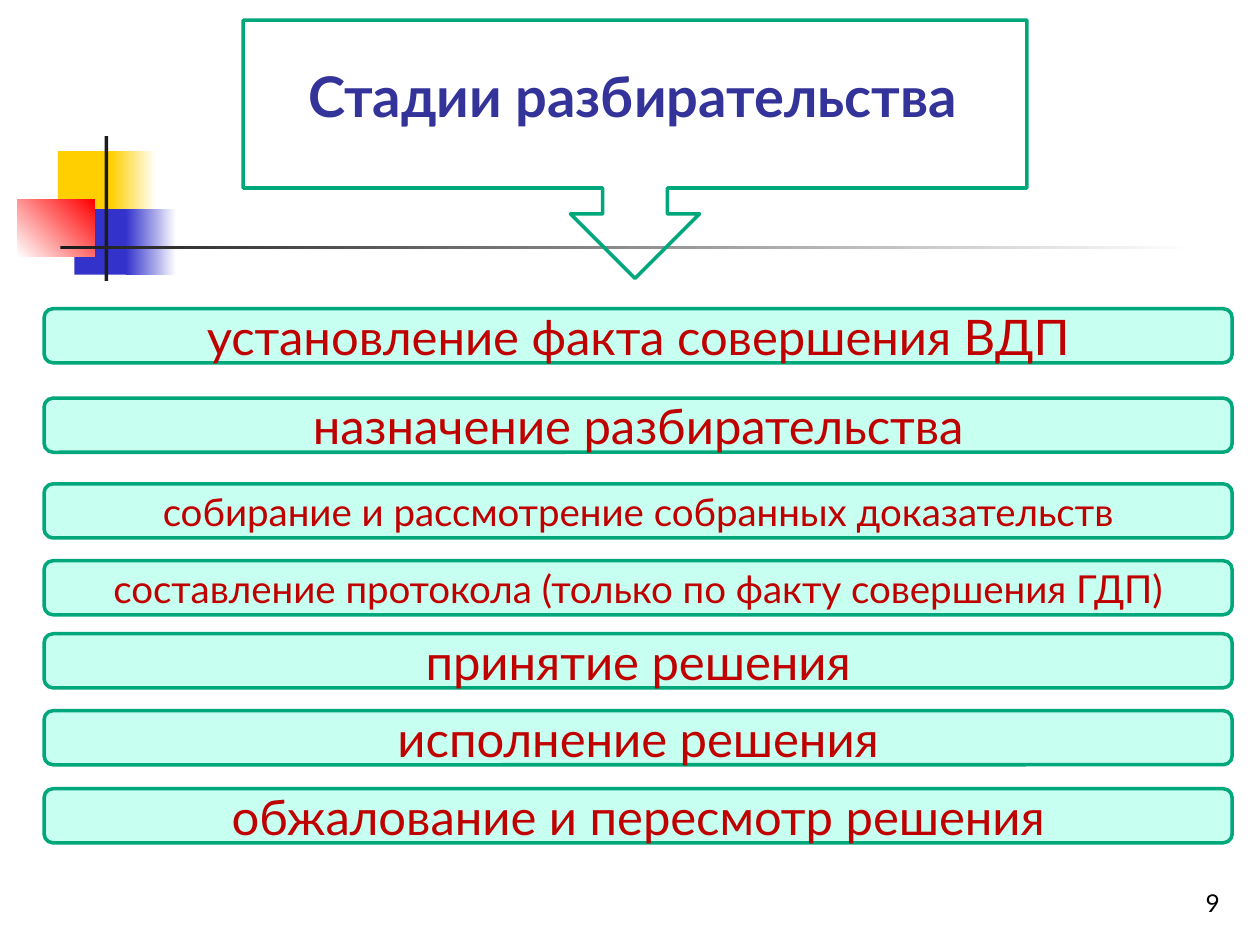
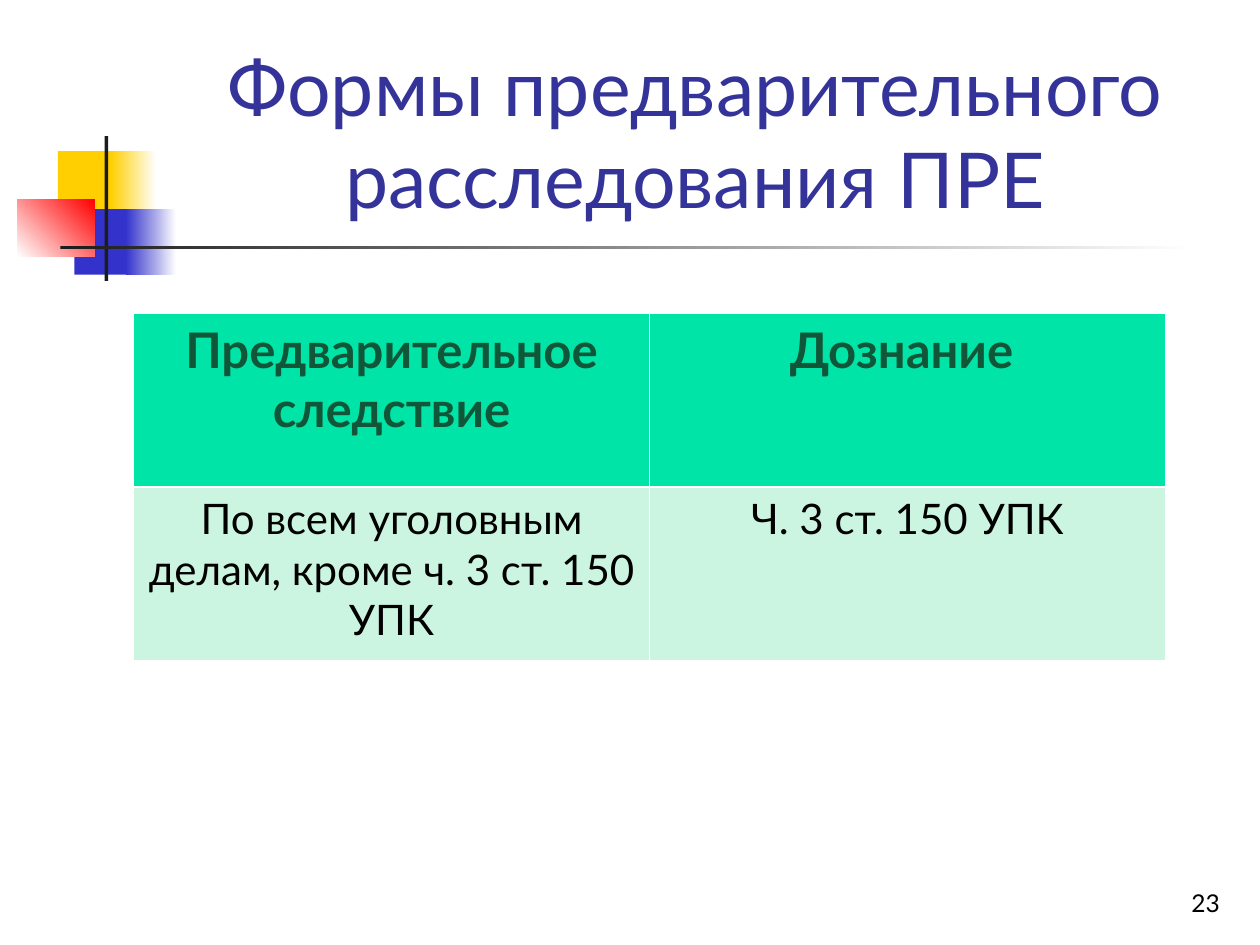
"""Build two slides on the stages of proceedings and the forms of preliminary investigation."""
from lxml import etree
from pptx import Presentation
from pptx.dml.color import RGBColor
from pptx.enum.shapes import MSO_SHAPE as SHAPE
from pptx.enum.text import MSO_ANCHOR as ANCHOR, MSO_AUTO_SIZE as AUTO, PP_ALIGN as ALIGN
from pptx.oxml.ns import qn
from pptx.util import Inches, Pt

FONT = "Lato"
COLORS = {
    "white": "FFFFFF", "black": "000000", "ink": "1C1C1C",
    "yellow": "FFCF01", "blue": "3333CC", "red": "FF0000",
    "title": "333399", "stage_text": "C00000", "stage_fill": "C7FFF0", "stage_line": "00A77A",
    "head_text": "105638", "head_fill": "00E4A8", "body_fill": "CBF5E1",
}

DECOR = [
    ((0.46, 1.2, 0.48, 0.52), ("yellow",), 0),
    ((0.88, 1.2, 0.36, 0.52), ("yellow", "white"), 0),
    ((0.59, 1.66, 0.46, 0.52), ("blue",), 0),
    ((1, 1.66, 0.4, 0.52), ("blue", "white"), 0),
    ((0.14, 1.58, 0.61, 0.46), ("white", "red"), 45),
    ((0.83, 1.08, 0.03, 1.15), ("ink",), 0),
    ((0.48, 1.95, 9, 0.03), ("ink", "white"), 0),
]

STAGES_TITLE = "Стадии разбирательства"
STAGES = [
    (2.45, "установление факта совершения ВДП", 28),
    (3.16, "назначение разбирательства", 28),
    (3.84, "собирание и рассмотрение собранных доказательств", 22),
    (4.45, "составление протокола (только по факту совершения ГДП)", 22),
    (5.03, "принятие решения", 28),
    (5.64, "исполнение решения", 28),
    (6.26, "обжалование и пересмотр решения", 28),
]

FORMS_TITLE = "Формы предварительного расследования ПРЕ"
FORMS = [
    ("Предварительное следствие", "Дознание "),
    ("По всем уголовным делам, кроме ч. 3 ст. 150 УПК", "Ч. 3 ст. 150 УПК"),
]
ROW_STYLES = [
    {"size": 28, "color": "head_text", "bold": True, "fill": "head_fill"},
    {"size": 24, "color": "black", "bold": False, "fill": "body_fill"},
]


def rgb(name):
    return RGBColor.from_string(COLORS[name])


def box(values):
    return [Inches(v) for v in values]


def write(tf, text, size, color, bold=False, align=ALIGN.CENTER):
    tf.text = text
    p = tf.paragraphs[0]
    p.alignment = align
    p.font.name = FONT
    p.font.size = Pt(size)
    p.font.bold = bold
    p.font.color.rgb = rgb(color)


def add_shape(s, kind, place):
    sp = s.shapes.add_shape(kind, *box(place))
    sp.shadow.inherit = False
    return sp


def outline(sp):
    sp.line.color.rgb = rgb("stage_line")
    sp.line.width = Pt(2)


def add_decor(s, place, colors, angle):
    sp = add_shape(s, SHAPE.RECTANGLE, place)
    sp.line.fill.background()
    if len(colors) == 1:
        sp.fill.solid()
        sp.fill.fore_color.rgb = rgb(colors[0])
        return
    sp.fill.gradient()
    sp.fill.gradient_angle = angle
    for stop, color in zip(sp.fill.gradient_stops, colors):
        stop.color.rgb = rgb(color)


def add_slide(prs, title, place, size, number, bold=False):
    s = prs.slides.add_slide(prs.slide_layouts[5])
    for part in DECOR:
        add_decor(s, *part)
    sp = s.shapes.title
    sp.left, sp.top, sp.width, sp.height = box(place)
    tf = sp.text_frame
    tf.auto_size = AUTO.NONE
    tf.vertical_anchor = ANCHOR.BOTTOM
    write(tf, title, size, "title", bold)
    tf = s.shapes.add_textbox(*box((7.7, 6.83, 2.08, 0.5))).text_frame
    tf.word_wrap = True
    tf.vertical_anchor = ANCHOR.BOTTOM
    write(tf, str(number), 14, "black", align=ALIGN.RIGHT)
    return s


def add_stage(s, top, text, size):
    sp = add_shape(s, SHAPE.ROUNDED_RECTANGLE, (0.35, top, 9.43, 0.43))
    sp.fill.solid()
    sp.fill.fore_color.rgb = rgb("stage_fill")
    outline(sp)
    tf = sp.text_frame
    tf.word_wrap = True
    tf.vertical_anchor = ANCHOR.MIDDLE
    write(tf, text, size, "stage_text")


def add_borders(cell, widths):
    tc_pr = cell._tc.get_or_add_tcPr()
    for side, width in widths.items():
        ln = etree.SubElement(tc_pr, qn(f"a:ln{side}"), w=str(Pt(width)))
        fill = etree.SubElement(ln, qn("a:solidFill"))
        etree.SubElement(fill, qn("a:srgbClr"), val=COLORS["white"])


def build_stages(prs):
    s = add_slide(prs, STAGES_TITLE, (0.27, 0.23, 9.51, 0.84), 32, 9, bold=True)
    callout = add_shape(s, SHAPE.DOWN_ARROW_CALLOUT, (1.93, 0.16, 6.22, 2.05))
    callout.fill.background()
    outline(callout)
    for i, value in enumerate((0.25, 0.25, 0.25, 0.65)):
        callout.adjustments[i] = value
    for stage in STAGES:
        add_stage(s, *stage)


def build_forms(prs):
    s = add_slide(prs, FORMS_TITLE, (1.26, 0.23, 8.52, 1.6), 44, 23)
    place = box((1.06, 2.49, 8.19, 2.75))
    table = s.shapes.add_table(len(FORMS), len(FORMS[0]), *place).table
    for r, (texts, style) in enumerate(zip(FORMS, ROW_STYLES)):
        for c, text in enumerate(texts):
            cell = table.cell(r, c)
            top, bottom = (1.47, 0.45) if r else (0.45, 1.47)
            add_borders(cell, {"L": 0.45, "R": 0.45, "T": top, "B": bottom})
            cell.fill.solid()
            cell.fill.fore_color.rgb = rgb(style["fill"])
            write(cell.text_frame, text, style["size"], style["color"], style["bold"])


def main():
    prs = Presentation()
    prs.slide_width, prs.slide_height = Inches(10), Inches(7.5)
    build_stages(prs)
    build_forms(prs)
    prs.save("out.pptx")


if __name__ == "__main__":
    main()
